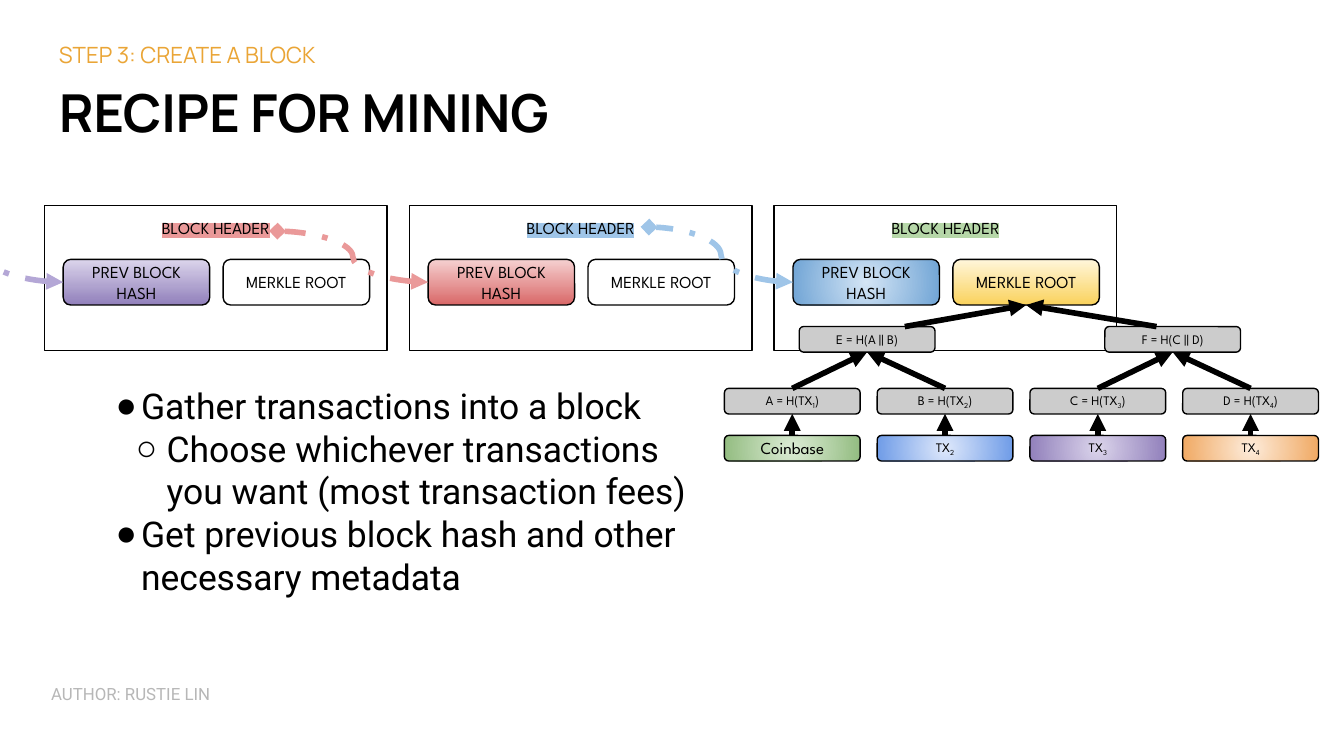
from lxml.etree import SubElement
from pptx import Presentation
from pptx.dml.color import RGBColor
from pptx.enum.dml import MSO_LINE
from pptx.enum.shapes import MSO_CONNECTOR as Connector, MSO_SHAPE as Shape
from pptx.enum.text import MSO_ANCHOR as Anchor, MSO_AUTO_SIZE as AutoSize, PP_ALIGN as Align
from pptx.oxml.ns import qn
from pptx.util import Inches, Pt

SLIDE_WIDTH = 10
SLIDE_HEIGHT = SLIDE_WIDTH * 9 / 16
COLORS = {
    "black": "000000", "white": "FFFFFF", "step": "EAA536", "author": "B7B7B7",
    "hash": "CCCCCC", "red": "EA9999", "blue": "9FC5E8", "green": "B6D7A8",
    "purple": "B4A7D6",
}
GRADIENTS = {
    "purple": ("DBD4EB", "9180BB"), "red": ("F5D0D0", "D96868"),
    "sky": ("D4E5F5", "70A4D5"), "yellow": ("FFF6DB", "FAD25C"),
    "green": ("DCECD5", "93BC81"), "blue": ("DFE9FB", "6E9BE7"),
    "orange": ("FDECDB", "F0A963"),
}
DIAGRAM_FONT = "League Spartan"

# Block row
BLOCK_LEFT, BLOCK_TOP, BLOCK_PITCH = 0.33, 1.53, 5.43 / 2
BLOCK_WIDTH, BLOCK_HEIGHT = 2.55, 1.08
PREV_OFFSET, MERKLE_OFFSET = 0.14, 1.33
FIELD_TOP, FIELD_WIDTH, FIELD_HEIGHT = 1.93, 1.09, 0.34

# Merkle tree: four leaf columns, three rows
TREE_LEFT, TREE_PITCH = 5.39, 3.41 / 3
NODE_WIDTH, NODE_HEIGHT = 1.01, 0.19
PARENT_TOP, HASH_TOP, LEAF_TOP = 2.43, 2.89, 3.24


def rgb(name):
    return RGBColor.from_string(COLORS[name])


def set_font(paragraph, name, size, color="black", bold=False):
    font = paragraph.font
    font.name, font.size, font.bold = name, Pt(size), bold
    font.color.rgb = rgb(color)


def set_frame(shape, margin=0.04, anchor=Anchor.TOP):
    frame = shape.text_frame
    frame.word_wrap = True
    frame.auto_size = AutoSize.NONE
    frame.vertical_anchor = anchor
    frame.margin_left = frame.margin_right = Inches(margin)
    frame.margin_top = frame.margin_bottom = Inches(margin)
    return frame


def place(shape, left, top, width, height):
    shape.left, shape.top = Inches(left), Inches(top)
    shape.width, shape.height = Inches(width), Inches(height)


def fill_gradient(shape, name, radial):
    """Fill from light to dark, downwards or outwards from the centre."""
    shape.fill.gradient()
    for stop, color, position in zip(shape.fill.gradient_stops, GRADIENTS[name], (0, 1)):
        stop.color.rgb = RGBColor.from_string(color)
        stop.position = position
    shape.fill.gradient_angle = 270
    if radial:
        gradient = shape._element.spPr.find(qn("a:gradFill"))
        gradient.remove(gradient.find(qn("a:lin")))
        circle = SubElement(gradient, qn("a:path"), path="circle")
        SubElement(circle, qn("a:fillToRect"), l="50000", t="50000", r="50000", b="50000")


def add_box(slide, kind, left, top, width, height, fill="white", gradient=None, radial=False):
    shape = slide.shapes.add_shape(
        kind, Inches(left), Inches(top), Inches(width), Inches(height))
    shape.shadow.inherit = False
    if gradient:
        fill_gradient(shape, gradient, radial)
    else:
        shape.fill.solid()
        shape.fill.fore_color.rgb = rgb(fill)
    shape.line.color.rgb = rgb("black")
    shape.line.width = Pt(0.75)
    return shape


def add_label_box(slide, label, left, top, width, height, size, **style):
    """Rounded box; an underscore in the label lowers the next character."""
    shape = add_box(slide, Shape.ROUNDED_RECTANGLE, left, top, width, height, **style)
    paragraph = set_frame(shape, anchor=Anchor.MIDDLE).paragraphs[0]
    paragraph.alignment = Align.CENTER
    set_font(paragraph, DIAGRAM_FONT, size)
    start, _, rest = label.partition("_")
    for text, baseline in ((start, 0), (rest[:1], -25000), (rest[1:], 0)):
        if text:
            run = paragraph.add_run()
            run.text = text
            if baseline:
                run._r.get_or_add_rPr().set("baseline", str(baseline))


def add_header(slide, left, highlight):
    shape = add_box(slide, Shape.RECTANGLE, left, BLOCK_TOP, BLOCK_WIDTH, BLOCK_HEIGHT)
    frame = set_frame(shape)
    frame.margin_top = Inches(0.09)
    paragraph = frame.paragraphs[0]
    paragraph.alignment = Align.CENTER
    set_font(paragraph, DIAGRAM_FONT, 9)
    run = paragraph.add_run()
    run.text = "BLOCK HEADER"
    mark = SubElement(run._r.get_or_add_rPr(), qn("a:highlight"))
    SubElement(mark, qn("a:srgbClr"), val=COLORS[highlight])


def add_link(slide, start, end, color="black", kind=Connector.STRAIGHT,
             head=None, tail="triangle", dash=None):
    link = slide.shapes.add_connector(kind, *(Inches(value) for value in (*start, *end)))
    link.line.color.rgb = rgb(color)
    link.line.width = Pt(3)
    if dash:
        link.line.dash_style = dash
    line = link.line._get_or_add_ln()
    for tag, arrow in (("a:headEnd", head), ("a:tailEnd", tail)):
        if arrow:
            SubElement(line, qn(tag), type=arrow)
    SubElement(link._element.spPr, qn("a:effectLst"))


def add_titles(slide):
    step = slide.shapes.add_textbox(0, 0, 0, 0)
    for shape, top, height, text, size, color, bold in (
        (step, 0.21, 0.43, "STEP 3: CREATE A BLOCK", 12, "step", False),
        (slide.shapes.title, 0.5, 0.63, "RECIPE FOR MINING", 28, "black", True),
    ):
        place(shape, 0.34, top, 9.29, height)
        paragraph = set_frame(shape, 0.1).paragraphs[0]
        paragraph.text = text
        paragraph.alignment = Align.LEFT
        set_font(paragraph, "Manrope", size, color, bold)


def add_list(slide):
    body = slide.placeholders[1]
    place(body, 0.82, 2.82, 4.42, 3.4)
    frame = set_frame(body)
    items = (
        (0, "Gather transactions into a block"),
        (1, "Choose whichever transactions you want (most transaction fees)"),
        (0, "Get previous block hash and other necessary metadata"),
    )
    for index, (level, text) in enumerate(items):
        paragraph = frame.add_paragraph() if index else frame.paragraphs[0]
        paragraph.text = text
        paragraph.level = level
        paragraph.alignment = Align.LEFT
        paragraph.space_before = Pt(0)
        properties = paragraph._p.get_or_add_pPr()
        properties.set("marL", str(Inches(0.19 * (level + 1))))
        properties.set("indent", str(Inches(-0.23)))
        SubElement(properties, qn("a:buFont"), typeface="Arial")
        SubElement(properties, qn("a:buChar"), char="●○"[level])
        set_font(paragraph, "Roboto", 19)


def add_author(slide):
    author = slide.shapes.add_textbox(0, 0, 0, 0)
    place(author, 0.34, 4.9, 2.66, 0.57)
    frame = set_frame(author)
    frame.margin_top = Inches(0.19)
    frame.text = "AUTHOR: RUSTIE LIN"
    set_font(frame.paragraphs[0], "Roboto", 9, "author")


def add_blocks(slide):
    blocks = (
        ("red", "purple", False, None),
        ("blue", "red", False, None),
        ("green", "sky", True, "yellow"),
    )
    for column, (highlight, previous, radial, merkle) in enumerate(blocks):
        left = BLOCK_LEFT + column * BLOCK_PITCH
        add_header(slide, left, highlight)
        size = (FIELD_TOP, FIELD_WIDTH, FIELD_HEIGHT, 9)
        add_label_box(slide, "PREV BLOCK HASH", left + PREV_OFFSET, *size,
                      gradient=previous, radial=radial)
        add_label_box(slide, "MERKLE ROOT", left + MERKLE_OFFSET, *size, gradient=merkle)
    for column, (color, reach, end_y) in enumerate(
            (("purple", 1.12, 1.72), ("red", 1.12, 1.72), ("blue", 1.07, 1.69))):
        x = BLOCK_LEFT + column * BLOCK_PITCH + PREV_OFFSET
        add_link(slide, (x, FIELD_TOP + FIELD_HEIGHT / 2), (x - reach, end_y), color,
                 Connector.CURVE, "triangle", "diamond", MSO_LINE.DASH_DOT)


def add_tree(slide):
    leaves = (("Coinbase", 9, "green"), ("TX_2", 7, "blue"),
              ("TX_3", 7, "purple"), ("TX_4", 7, "orange"))
    node = (NODE_WIDTH, NODE_HEIGHT)
    parents = [TREE_LEFT + (2 * pair + 0.49) * TREE_PITCH for pair in range(2)]
    root = (BLOCK_LEFT + 2 * BLOCK_PITCH + MERKLE_OFFSET + FIELD_WIDTH / 2,
            FIELD_TOP + FIELD_HEIGHT)
    for column, (label, size, gradient) in enumerate(leaves):
        left = TREE_LEFT + column * TREE_PITCH
        center = left + NODE_WIDTH / 2
        parent = parents[column // 2] + NODE_WIDTH / 2
        add_label_box(slide, f"{'ABCD'[column]} = H(TX_{column + 1})", left, HASH_TOP,
                      *node, 7, fill="hash")
        add_label_box(slide, label, left, LEAF_TOP, *node, size,
                      gradient=gradient, radial=True)
        add_link(slide, (center, LEAF_TOP), (center, HASH_TOP + NODE_HEIGHT))
        add_link(slide, (center, HASH_TOP), (parent, PARENT_TOP + NODE_HEIGHT))
    labels = (("E = H(A || B)", 0.28), ("F = H(C || D)", -0.12))
    for left, (label, shift) in zip(parents, labels):
        add_label_box(slide, label, left, PARENT_TOP, *node, 7, fill="hash")
        add_link(slide, (left + NODE_WIDTH / 2 + shift, PARENT_TOP), root)


def main():
    presentation = Presentation()
    presentation.slide_width = Inches(SLIDE_WIDTH)
    presentation.slide_height = Inches(SLIDE_HEIGHT)
    slide = presentation.slides.add_slide(presentation.slide_layouts[1])
    add_titles(slide)
    add_list(slide)
    add_author(slide)
    add_blocks(slide)
    add_tree(slide)
    presentation.save("out.pptx")


if __name__ == "__main__":
    main()
